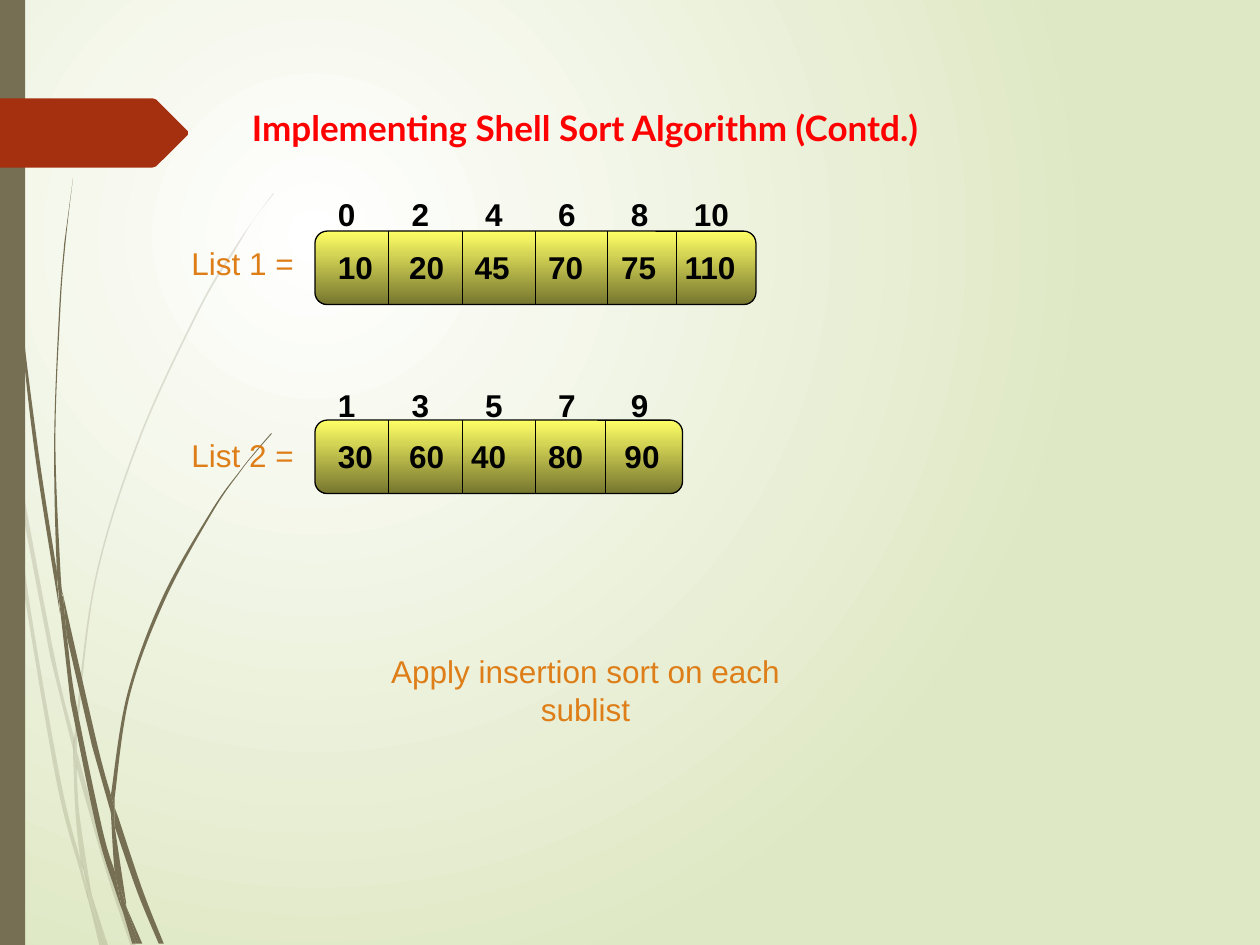
from lxml.etree import SubElement
from pptx import Presentation
from pptx.dml.color import RGBColor
from pptx.enum.shapes import MSO_CONNECTOR, MSO_SHAPE
from pptx.enum.text import PP_ALIGN
from pptx.oxml.ns import qn
from pptx.util import Cm, Pt

COLORS = {
    "white": "FFFFFF", "sage": "DFE8C4", "stem": "766F54", "tag": "A53010",
    "title": "FF0000", "label": "DE7E18", "ink": "000000", "cell": "FFFF66",
}
UNIT = 0.0254  # centimetres per outline unit
INDEX_X = [6.56, 8.05, 9.53, 11, 12.47, 13.74]

# Grass pieces: each has two sides, given in outline units
LIGHT_GRASS = [
    [[(8, 350), (6, 322), (0, 282)], [(0, 299), (7, 344), (8, 350)]],
    [[(40, 522), (59, 599)], [(59, 586), (43, 520), (10, 345)], [(12, 376), (40, 522)]],
    [[(64, 607), (61, 596)], [(61, 610), (85, 694), (104, 751)],
     [(108, 751), (88, 692), (64, 607)]],
    [[(83, 751), (86, 751)], [(73, 711), (83, 751)]],
    [[(64, 683), (48, 619), (22, 469), (12, 376), (8, 350)],
     [(19, 470), (45, 621), (64, 693), (70, 714)], [(69, 707), (64, 683)]],
    [[(58, 599), (60, 646), (64, 683), (67, 692), (73, 711)],
     [(72, 706), (63, 646), (61, 610), (61, 608), (58, 599)]],
    [[(61, 584), (76, 462), (111, 349), (159, 245), (187, 198), (201, 175), (217, 154)],
     [(217, 153), (201, 175), (186, 197), (158, 244), (110, 348), (75, 461),
      (59, 584), (59, 586)], [(61, 596), (61, 584)]],
    [[(70, 714), (79, 751)], [(82, 751), (70, 714)]],
    [[(61, 608), (61, 610)], [(61, 596), (59, 586)], [(58, 599), (61, 608)]],
    [[(67, 692), (65, 683)], [(69, 707), (70, 714), (82, 751)],
     [(83, 751), (73, 711), (67, 692)]],
]
DARK_GRASS = [
    [[(5, 110), (14, 233), (27, 355), (46, 477), (47, 481)],
     [(45, 457), (45, 453), (30, 355), (15, 232), (6, 109), (4, 48), (3, 0)],
     [(2, 0), (3, 48), (5, 110)]],
    [[(73, 592), (88, 645)], [(88, 633), (88, 631), (77, 590), (50, 472)],
     [(53, 505), (73, 592)]],
    [[(94, 649), (91, 641)], [(91, 656), (109, 708), (126, 749)],
     [(130, 749), (113, 706), (94, 649)]],
    [[(91, 691), (81, 657), (60, 556), (53, 505), (47, 477)],
     [(56, 557), (77, 659), (92, 708), (97, 722)], [(96, 717), (91, 691)]],
    [[(50, 472), (48, 453), (44, 349), (48, 245), (52, 193), (58, 141)],
     [(51, 193), (47, 245), (43, 349), (45, 449), (49, 472)]],
    [[(110, 749), (113, 749)], [(100, 719), (110, 749)]],
    [[(47, 477), (53, 505)], [(50, 472), (49, 472), (45, 449)], [(45, 453), (47, 477)]],
    [[(91, 633), (103, 552), (131, 476), (169, 406), (191, 374), (203, 359), (216, 344)],
     [(215, 344), (203, 358), (191, 373), (168, 405), (129, 474), (101, 551),
      (88, 631)], [(91, 641), (91, 633)]],
    [[(97, 722), (105, 749)], [(108, 749), (97, 722)]],
    [[(88, 645), (91, 691), (96, 706), (100, 719)],
     [(100, 716), (91, 656), (90, 651), (88, 645)]],
    [[(88, 645), (90, 651), (91, 656)], [(91, 641), (88, 631)], [(88, 633), (88, 645)]],
    [[(96, 706), (91, 691)], [(96, 717), (97, 722), (108, 749)],
     [(110, 749), (100, 719), (96, 706)]],
]
TAG = [[(149, 107)], [(124, 132)], [(121, 133)], [(0, 133)],
       [(0, 78)], [(121, 78)], [(124, 79)], [(149, 104)]]


def rgb(name):
    return RGBColor.from_string(COLORS[name])


class Deck:
    """Style and current slide; lengths are in centimetres."""

    font, size = "Arial", 18

    def __init__(self, slide):
        self.s = slide

    def background(self, inner, outer):
        fill = self.s.background.fill
        fill.gradient()
        for stop, name in zip(fill.gradient_stops, (inner, outer)):
            stop.color.rgb = rgb(name)
        grad = next(self.s.element.iter(qn("a:gradFill")))
        grad.remove(grad.find(qn("a:lin")))
        circle = SubElement(grad, qn("a:path"), path="circle")
        SubElement(circle, qn("a:fillToRect"),
                   l="50000", t="50000", r="100000", b="100000")

    def paint(self, sp, color, alpha=100):
        sp.shadow.inherit = False
        sp.fill.solid()
        sp.fill.fore_color.rgb = rgb(color)
        sp.line.fill.background()
        if alpha < 100:
            clr = next(sp.element.spPr.iter(qn("a:srgbClr")))
            SubElement(clr, qn("a:alpha"), val=str(alpha * 1000))

    def block(self, kind, x, y, w, h, color):
        sp = self.s.shapes.add_shape(kind, Cm(x), Cm(y), Cm(w), Cm(h))
        self.paint(sp, color)
        return sp

    def outline(self, sides, color, alpha=100):
        """Closed outline: a smooth curve along each side, corners between."""
        points = [(Cm(x * UNIT), Cm(y * UNIT)) for side in sides for x, y in side]
        builder = self.s.shapes.build_freeform(*points[0])
        builder.add_line_segments(points[1:], close=True)
        sp = builder.convert_to_shape()
        self.paint(sp, color, alpha)
        segments = list(sp.element.spPr.iter(qn("a:lnTo")))
        local = [(int(pt.get("x")), int(pt.get("y")))
                 for pt in sp.element.spPr.iter(qn("a:pt"))]
        start = 0
        for side in sides:
            last = start + len(side) - 1
            for i in range(start, last):
                a, b, c, d = (local[max(start, min(k, last))] for k in range(i - 1, i + 3))
                controls = ([q + (r - p) / 6 for p, q, r in zip(a, b, c)],
                            [r - (u - q) / 6 for q, r, u in zip(b, c, d)])
                segments[i].tag = qn("a:cubicBezTo")
                end = segments[i][0]
                for x, y in controls:
                    SubElement(segments[i], qn("a:pt"), x=str(round(x)), y=str(round(y)))
                segments[i].append(end)
            start = last + 1

    def text(self, text, x, y, w, h=1.02, color="ink", bold=False, font=None,
             size=None, align=PP_ALIGN.LEFT, wrap=False, inset=(0.25, 0.13)):
        tf = self.s.shapes.add_textbox(Cm(x), Cm(y), Cm(w), Cm(h)).text_frame
        tf.word_wrap = wrap
        tf.margin_left, tf.margin_top = (Cm(v) for v in inset)
        tf.text = text
        p = tf.paragraphs[0]
        p.alignment = align
        f = p.runs[0].font
        f.name, f.size, f.bold = font or self.font, Pt(size or self.size), bold
        f.color.rgb = rgb(color)

    def number(self, text, x, y):
        self.text(text, x, y, 0.52 + 0.36 * len(text), bold=True)

    def bar(self, x, y, w, h):
        sp = self.block(MSO_SHAPE.ROUNDED_RECTANGLE, x, y, w, h, "cell")
        sp.fill.gradient()
        sp.fill.gradient_angle = 270
        for stop, position in zip(sp.fill.gradient_stops, (0, 1)):
            stop.position = position
            stop.color.rgb = rgb("cell")
        shaded = list(sp.element.spPr.iter(qn("a:srgbClr")))[1]
        SubElement(shaded, qn("a:gamma"))
        SubElement(shaded, qn("a:shade"), val="46275")
        SubElement(shaded, qn("a:invGamma"))
        sp.line.color.rgb = rgb("ink")
        sp.line.width = Pt(0.75)

    def divider(self, x, y, h):
        c = self.s.shapes.add_connector(
            MSO_CONNECTOR.STRAIGHT, Cm(x), Cm(y), Cm(x), Cm(y + h))
        c.line.color.rgb = rgb("ink")
        c.line.width = Pt(0.75)
        SubElement(c.element.spPr, qn("a:effectLst"))

    def array(self, index_y, y, w, cells, dividers):
        """One sublist: bar, dividers and (index, value, value x) cells."""
        h = 1.48
        self.bar(6.35, y, w, h)
        for x in dividers:
            self.divider(x, y, h)
        for (index, value, value_x), index_x in zip(cells, INDEX_X):
            self.number(index, index_x, index_y)
            self.number(value, value_x, y + 0.22)


def main():
    prs = Presentation()
    prs.slide_width, prs.slide_height = Cm(25.4), Cm(19.05)
    deck = Deck(prs.slides.add_slide(prs.slide_layouts[6]))

    # Backdrop: gradient, grass, side band and tag
    deck.background("white", "sage")
    for grass, alpha in ((LIGHT_GRASS, 20), (DARK_GRASS, 100)):
        for sides in grass:
            deck.outline(sides, "stem", alpha)
    deck.block(MSO_SHAPE.RECTANGLE, 0, 0, 0.51, 19.05, "stem")
    deck.outline(TAG, "tag")

    # Title
    deck.text("Implementing Shell Sort Algorithm (Contd.)", 4.83, 2.01, 19.05, 1.09,
              color="title", bold=True, font="Lato", size=20, wrap=True)

    # Sublists
    deck.text("List 1 =", 2.34, 3.81, 20.32, 11.63, color="label", wrap=True,
              inset=(1.52, 1.1))
    deck.array(3.81, 4.66, 8.89,
               [("0", "10", 6.56), ("2", "20", 8), ("4", "45", 9.32),
                ("6", "70", 10.8), ("8", "75", 12.27), ("10", "110", 13.55)],
               [7.83, 9.32, 10.8, 12.24, 13.64])
    deck.text("List 2 =", 3.61, 8.66, 2.97, color="label", wrap=True)
    deck.array(7.66, 8.47, 7.41,
               [("1", "30", 6.56), ("3", "60", 8), ("5", "40", 9.25),
                ("7", "80", 10.8), ("9", "90", 12.34)],
               [7.83, 9.32, 10.8, 12.2])

    # Next step
    deck.text("Apply insertion sort on each sublist", 6.65, 13.01, 10.31,
              color="label", align=PP_ALIGN.CENTER)

    prs.save("out.pptx")


if __name__ == "__main__":
    main()
